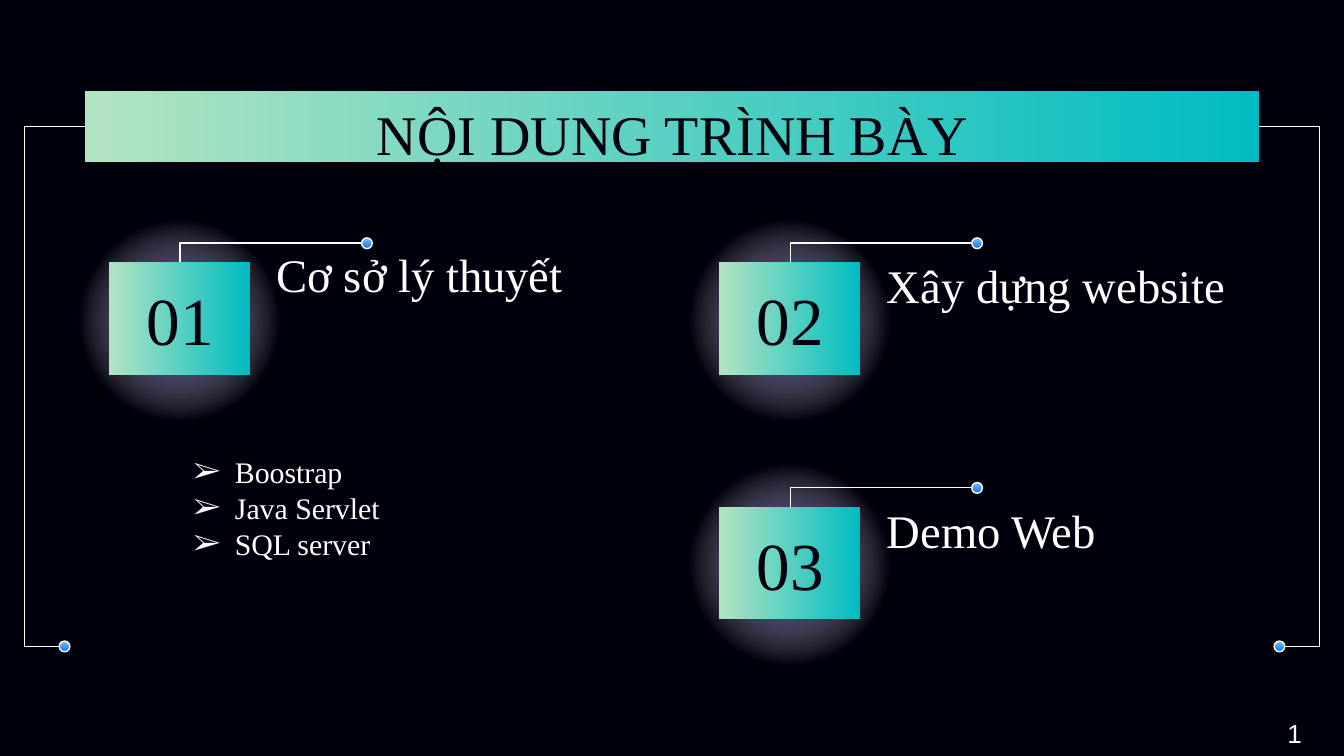
"""Build the contents slide of a website project talk."""
from dataclasses import dataclass

from lxml.etree import SubElement
from pptx import Presentation
from pptx.dml.color import RGBColor
from pptx.enum.shapes import MSO_CONNECTOR, MSO_SHAPE
from pptx.enum.text import MSO_ANCHOR, PP_ALIGN
from pptx.oxml.ns import qn
from pptx.util import Inches, Pt


@dataclass(frozen=True)
class Theme:
    dark: str = "00000D"
    light: str = "FFFFFF"
    panel: tuple = ((0, "00BCC2", 100), (100, "B2E4C2", 100))
    glow: tuple = ((0, "170F8D", 100), (61, "FFFFFF", 0), (100, "FFFFFF", 0))
    dot: tuple = ((0, "82BCFE", 100), (100, "0C77F1", 100))
    serif: str = "Times New Roman"
    sans: str = "Arial"
    title_size: int = 30
    number_size: int = 36
    heading_size: int = 25
    list_size: int = 16
    page_size: int = 14
    line_width: float = 0.75
    dot_size: float = 0.08


class SlideBuilder:
    def __init__(self, page, theme):
        self.page = page
        self.theme = theme
        fill = page.background.fill
        fill.solid()
        fill.fore_color.rgb = RGBColor.from_string(theme.dark)

    def gradient(self, shape, stops, angle=None):
        shape.fill.solid()
        properties = shape.element.spPr
        solid = properties.find(qn("a:solidFill"))
        gradient = SubElement(properties, qn("a:gradFill"), rotWithShape="1")
        stop_list = SubElement(gradient, qn("a:gsLst"))
        for position, colour, opacity in stops:
            stop = SubElement(stop_list, qn("a:gs"), pos=str(position * 1000))
            tint = SubElement(stop, qn("a:srgbClr"), val=colour)
            if opacity < 100:
                SubElement(tint, qn("a:alpha"), val=str(opacity * 1000))
        if angle is None:
            circle = SubElement(gradient, qn("a:path"), path="circle")
            SubElement(circle, qn("a:fillToRect"), l="50000", t="50000", r="50000", b="50000")
        else:
            SubElement(gradient, qn("a:lin"), ang=str(angle * 60000), scaled="0")
        properties.replace(solid, gradient)

    def shape(self, kind, left, top, width, height, stops, angle=None, parent=None):
        shape = (parent or self.page).shapes.add_shape(
            kind, Inches(left), Inches(top), Inches(width), Inches(height))
        shape.shadow.inherit = False
        self.gradient(shape, stops, angle)
        shape.line.fill.background()
        return shape

    def outline(self, line):
        line.color.rgb = RGBColor.from_string(self.theme.light)
        line.width = Pt(self.theme.line_width)

    def dotted_line(self, start, end, dot_left, bend=None):
        group = self.page.shapes.add_group_shape()
        size = self.theme.dot_size
        dot = self.shape(MSO_SHAPE.OVAL, dot_left, start[1] - size / 2, size, size,
                         self.theme.dot, 90, group)
        self.outline(dot.line)
        connector = group.shapes.add_connector(
            MSO_CONNECTOR.ELBOW, *(Inches(value) for value in (*start, *end)))
        self.outline(connector.line)
        properties = connector.element.spPr
        SubElement(properties, qn("a:effectLst"))
        geometry = properties.find(qn("a:prstGeom"))
        if bend is None:
            geometry.set("prst", "bentConnector2")
        else:
            guides = geometry.find(qn("a:avLst"))
            SubElement(guides, qn("a:gd"), name="adj1", fmla=f"val {round(bend * 100000)}")

    def text(self, words, left, top, width, height, size, colour, font=None,
             align=PP_ALIGN.LEFT, anchor=MSO_ANCHOR.MIDDLE, inset=0.1):
        box = self.page.shapes.add_textbox(
            Inches(left), Inches(top), Inches(width), Inches(height))
        frame = box.text_frame
        frame.word_wrap = True
        frame.vertical_anchor = anchor
        frame.margin_top = frame.margin_bottom = Inches(inset)
        frame.text = words
        for paragraph in frame.paragraphs:
            paragraph.alignment = align
            for span in paragraph.runs:
                span.font.name = font or self.theme.serif
                span.font.size = Pt(size)
                span.font.color.rgb = RGBColor.from_string(colour)
        return box

    def bullets(self, items, left, top, width, height):
        box = self.text("\n".join(items), left, top, width, height,
                        self.theme.list_size, self.theme.light)
        for paragraph in box.text_frame.paragraphs:
            paragraph.level = 1
            properties = paragraph._p.get_or_add_pPr()
            properties.set("marL", str(Inches(0.81)))
            properties.set("indent", str(Inches(-0.31)))
            colour = SubElement(properties, qn("a:buClr"))
            SubElement(colour, qn("a:srgbClr"), val=self.theme.light)
            SubElement(properties, qn("a:buFont"), typeface=self.theme.serif)
            SubElement(properties, qn("a:buChar"), char="➢")

    def topic(self, number, heading, left, top, heading_top, heading_width):
        theme = self.theme
        self.shape(MSO_SHAPE.OVAL, left - 0.36, top - 0.42, 1.77, 1.71, theme.glow)
        self.shape(MSO_SHAPE.RECTANGLE, left, top, 1.05, 0.84, theme.panel, 180)
        self.text(number, left + 0.09, top + 0.13, 0.88, 0.58, theme.number_size,
                  theme.dark, align=PP_ALIGN.CENTER)
        self.text(heading, left + 1.15, heading_top, heading_width, 0.58,
                  theme.heading_size, theme.light)
        dot_left = left + 1.88
        self.dotted_line((dot_left, top - 0.14), (left + 0.53, top), dot_left)


def main():
    deck = Presentation()
    deck.slide_width = Inches(10)
    deck.slide_height = deck.slide_width * 9 // 16
    theme = Theme()
    builder = SlideBuilder(deck.slides.add_slide(deck.slide_layouts[6]), theme)

    builder.shape(MSO_SHAPE.RECTANGLE, 0.63, 0.68, 8.74, 0.53, theme.panel, 180)
    for topic in (
        ("01", "Cơ sở lý thuyết", 0.81, 1.95, 1.75, 2.69),
        ("02", "Xây dựng website", 5.35, 1.95, 1.83, 2.8),
        ("03", "Demo Web", 5.35, 3.77, 3.65, 2.69),
    ):
        builder.topic(*topic)
    builder.bullets(("Boostrap", "Java Servlet", "SQL server"), 0.84, 3.01, 3.23, 1.53)
    for start, end, dot_left in ((0.44, 0.63, 0.44), (9.56, 9.37, 9.48)):
        builder.dotted_line((start, 4.81), (end, 0.94), dot_left, bend=-1.36)
    builder.text("NỘI DUNG TRÌNH BÀY", 0.79, 0.64, 8.43, 0.63, theme.title_size, theme.dark,
                 align=PP_ALIGN.CENTER, anchor=MSO_ANCHOR.TOP)
    builder.text("1", 9.48, 5.29, 0.5, 0.34, theme.page_size, theme.light, theme.sans,
                 anchor=MSO_ANCHOR.TOP, inset=0.05)
    deck.save("out.pptx")


if __name__ == "__main__":
    main()
